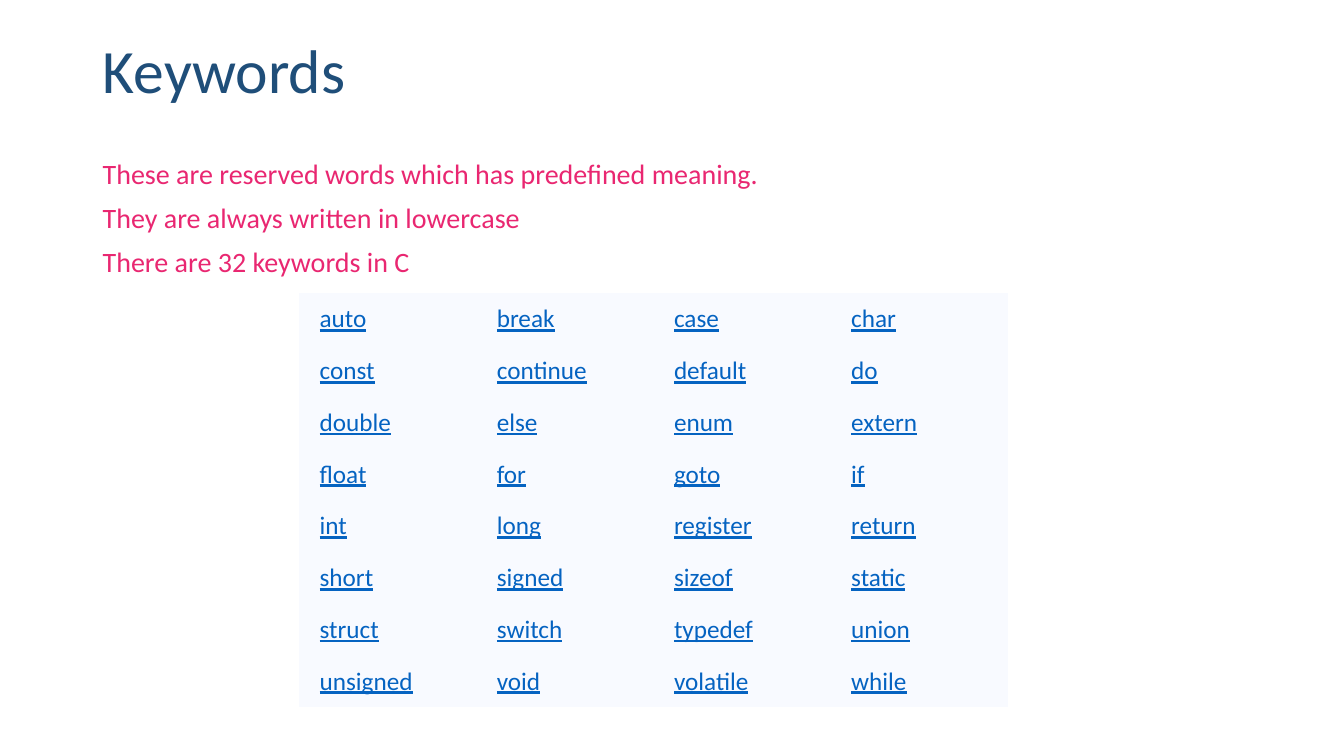
from pptx import Presentation
from pptx.dml.color import RGBColor as RGB
from pptx.enum.text import MSO_ANCHOR as Anchor, PP_ALIGN as Align
from pptx.oxml.ns import qn
from pptx.util import Inches, Pt

COLORS = {"title": "1F4E79", "body": "E92771", "link": "0563C1", "cell": "F8FAFF"}
PLAIN = "{2D5ABB26-0587-4C30-8999-92F81FD0307C}"
NOTES = [
    "These are reserved words which has predefined meaning.",
    "They are always written in lowercase",
    "There are 32 keywords in C",
]
WORDS = """
auto break case char
const continue default do
double else enum extern
float for goto if
int long register return
short signed sizeof static
struct switch typedef union
unsigned void volatile while
""".split()
COLS = 4


class Deck:
    """Holds the text style and the current slide."""

    def __init__(self, font):
        self.font = font
        self.prs = Presentation()
        self.prs.slide_width = Inches(13.33)
        self.prs.slide_height = Inches(7.5)
        self.slide = self.prs.slides.add_slide(self.prs.slide_layouts[5])

    def run(self, para, text, size, color, line=False):
        para.alignment = Align.LEFT
        run = para.add_run()
        run.text = text
        run.font.name = self.font
        run.font.size = Pt(size)
        run.font.bold = False
        run.font.underline = line
        run.font.color.rgb = RGB.from_string(COLORS[color])

    def title(self, text, x, y, w, h):
        shape = self.slide.shapes.title
        shape.left, shape.top = Inches(x), Inches(y)
        shape.width, shape.height = Inches(w), Inches(h)
        frame = shape.text_frame
        frame.vertical_anchor = Anchor.MIDDLE
        para = frame.paragraphs[0]
        para.line_spacing = 0.9
        self.run(para, text, 44, "title")

    def body(self, lines, x, y, w, h):
        box = self.slide.shapes.add_textbox(Inches(x), Inches(y), Inches(w), Inches(h))
        frame = box.text_frame
        frame.word_wrap = True
        for i, text in enumerate(lines):
            para = frame.add_paragraph() if i else frame.paragraphs[0]
            para.line_spacing = 0.9
            para.space_before = Pt(10)
            self.run(para, text, 20, "body")

    def table(self, words, cols, x, y, w, h):
        rows = len(words) // cols
        shape = self.slide.shapes.add_table(
            rows, cols, Inches(x), Inches(y), Inches(w), Inches(h)
        )
        shape.element.find(".//" + qn("a:tableStyleId")).text = PLAIN
        table = shape.table
        table.first_row = table.horz_banding = False
        for cell, word in zip(table.iter_cells(), words):
            cell.fill.solid()
            cell.fill.fore_color.rgb = RGB.from_string(COLORS["cell"])
            cell.vertical_anchor = Anchor.MIDDLE
            cell.margin_left = cell.margin_right = Inches(0.2)
            cell.margin_top = cell.margin_bottom = Inches(0.1)
            self.run(cell.text_frame.paragraphs[0], word, 18, "link", True)


def main():
    deck = Deck("Calibri")
    deck.title("Keywords", 0.92, 0, 11.5, 1.45)
    deck.body(NOTES, 0.92, 1.54, 11.5, 4.76)
    deck.table(WORDS, COLS, 2.97, 2.91, 7.03, 4.11)
    deck.prs.save("out.pptx")


if __name__ == "__main__":
    main()
